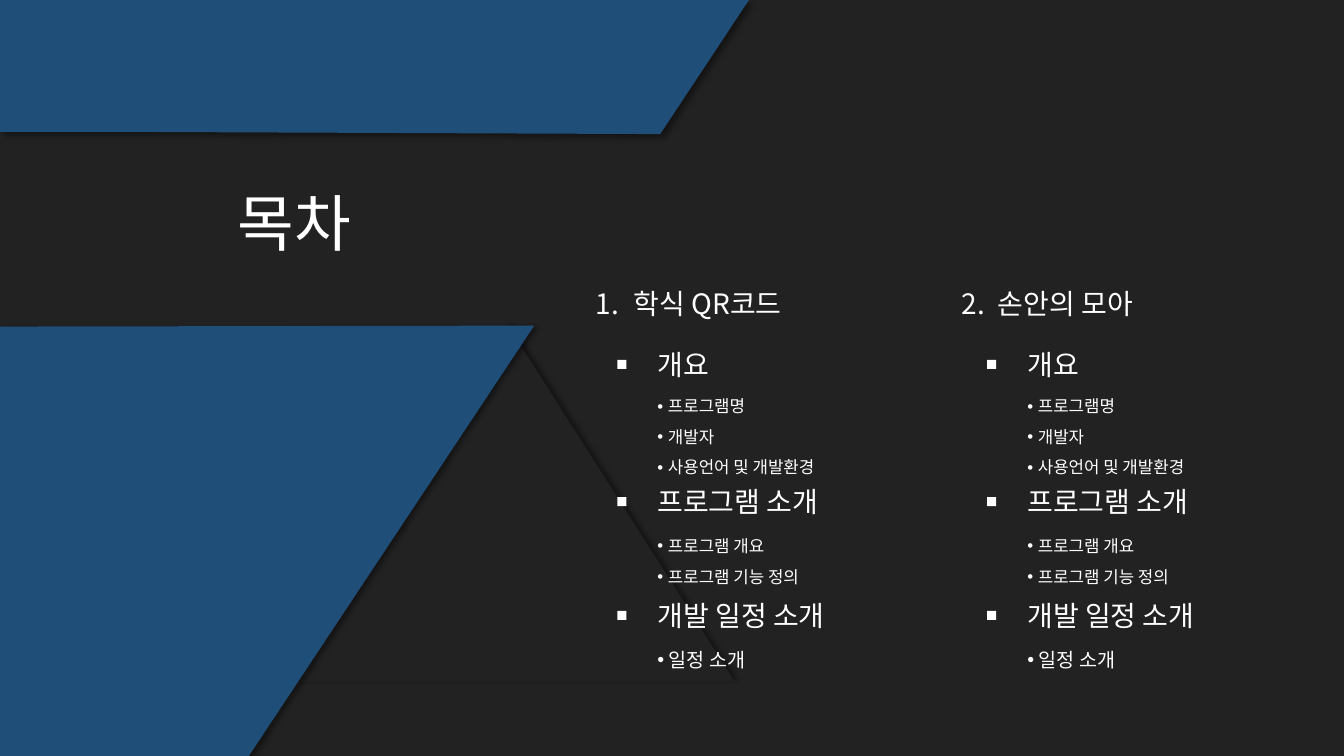
from lxml.etree import SubElement
from pptx import Presentation
from pptx.dml.color import RGBColor
from pptx.enum.shapes import MSO_SHAPE
from pptx.enum.text import MSO_ANCHOR, MSO_AUTO_SIZE, PP_ALIGN
from pptx.oxml.ns import qn
from pptx.util import Pt

FONT = "Noto Sans CJK KR"
DARK, BLUE, WHITE = "222222", "1F4E79", "FFFFFF"

# Topic, space before it, its details, their size, space before the first one
TOPICS = [
    ("개요", 0, ["프로그램명", "개발자", "사용언어 및 개발환경"], 12, 3.5),
    ("프로그램 소개", 5.2, ["프로그램 개요", "프로그램 기능 정의"], 12, 5.2),
    ("개발 일정 소개", 8.5, ["일정 소개"], 14, 6.2),
]
MARKER_TOPS = [257, 355, 436.3]
MARKER_SIZE = 6.5
CHAPTERS = ["학식 QR코드", "손안의 모아"]
HEADING_LEFTS = [425.5, 687]
HEADING_INDENTS = [27, 25.6]
MARKER_LEFT, LIST_LEFT, COLUMN_STEP = 440.9, 469.6, 264.2


def rgb(color):
    return RGBColor.from_string(color)


def fill_flat(shape, color):
    shape.fill.solid()
    shape.fill.fore_color.rgb = rgb(color)
    shape.line.fill.background()
    shape.shadow.inherit = False


def cast_shadow(shape, angle):
    effects = shape._element.spPr.find(qn("a:effectLst"))
    shadow = SubElement(effects, qn("a:outerShdw"), blurRad=str(Pt(4)),
                        dist=str(Pt(3)), dir=str(angle * 60000),
                        rotWithShape="0")
    black = SubElement(shadow, qn("a:srgbClr"), val="000000")
    SubElement(black, qn("a:alpha"), val="40000")


def add_preset(slide, preset, left, top, width, height, color):
    shape = slide.shapes.add_shape(preset, Pt(left), Pt(top), Pt(width),
                                   Pt(height))
    fill_flat(shape, color)
    return shape


def add_band(slide, corners):
    points = [(Pt(x), Pt(y)) for x, y in corners]
    builder = slide.shapes.build_freeform(*points[0])
    builder.add_line_segments(points[1:], close=True)
    band = builder.convert_to_shape()
    fill_flat(band, BLUE)
    cast_shadow(band, 45)


def place(placeholder, left, top, width, height, anchor=MSO_ANCHOR.TOP):
    """Move a placeholder, bring it to the front and return its text frame."""
    placeholder.left, placeholder.top = Pt(left), Pt(top)
    placeholder.width, placeholder.height = Pt(width), Pt(height)
    tree = placeholder._element.getparent()
    tree.append(placeholder._element)
    frame = placeholder.text_frame
    frame.margin_left = frame.margin_right = Pt(0)
    frame.margin_top = frame.margin_bottom = Pt(0)
    frame.vertical_anchor = anchor
    frame.auto_size = MSO_AUTO_SIZE.NONE
    frame.word_wrap = True
    return frame


def add_text(paragraph, text, size):
    run = paragraph.add_run()
    run.text = text
    run.font.size = Pt(size)
    run.font.bold = False
    run.font.name = FONT
    run.font.color.rgb = rgb(WHITE)
    properties = run._r.get_or_add_rPr()
    properties.set("kern", "0")
    SubElement(properties, qn("a:ea"), typeface=FONT)


def add_item(paragraph, text, size, line, before, hanging, tag, **mark):
    """Fill a list paragraph; tag and mark describe its bullet or number."""
    paragraph.line_spacing = Pt(line)
    paragraph.space_before = Pt(before)
    paragraph.space_after = Pt(0)
    properties = paragraph._p.get_or_add_pPr()
    properties.set("marL", str(Pt(hanging)))
    properties.set("indent", str(-Pt(hanging)))
    SubElement(properties, qn(tag), **mark)
    add_text(paragraph, text, size)


def fill_topics(frame):
    for index, (topic, gap, details, size, first_gap) in enumerate(TOPICS):
        paragraph = frame.add_paragraph() if index else frame.paragraphs[0]
        add_item(paragraph, topic, 20, 24, gap, 0, "a:buNone")
        for row, detail in enumerate(details):
            paragraph = frame.add_paragraph()
            paragraph.level = 1
            add_item(paragraph, detail, size, 21.8, 0 if row else first_gap,
                     size / 4 + 4.5, "a:buChar", char="•")


def main():
    deck = Presentation()
    deck.slide_width, deck.slide_height = Pt(960), Pt(540)
    slide = deck.slides.add_slide(deck.slide_layouts.get_by_name("Comparison"))
    slide.background.fill.solid()
    slide.background.fill.fore_color.rgb = rgb(DARK)

    triangle = add_preset(slide, MSO_SHAPE.ISOSCELES_TRIANGLE, 200.9, 232.6,
                          324, 254.2, DARK)
    cast_shadow(triangle, 315)
    add_band(slide, [(0, 0), (535, 0), (471.6, 95.8), (111.6, 94.3), (0, 94.3)])
    add_band(slide, [(0, 233.3), (381.6, 232.6), (177.8, 540), (0, 540)])

    title = place(slide.shapes.title, 59, 128.2, 302.4, 60.5, MSO_ANCHOR.MIDDLE)
    title.paragraphs[0].alignment = PP_ALIGN.CENTER
    add_text(title.paragraphs[0], "목차", 44)

    bodies = {p.placeholder_format.idx: p for p in slide.placeholders}
    for column, chapter in enumerate(CHAPTERS):
        shift = column * COLUMN_STEP
        heading = place(bodies[2 * column + 1], HEADING_LEFTS[column], 204.6,
                        200, 25)
        add_item(heading.paragraphs[0], chapter, 20, 24, 0,
                 HEADING_INDENTS[column], "a:buAutoNum",
                 type="arabicPeriod", startAt=str(column + 1))
        fill_topics(place(bodies[2 * column + 2], LIST_LEFT + shift, 248.1,
                          185, 235))
        for top in MARKER_TOPS:
            add_preset(slide, MSO_SHAPE.RECTANGLE, MARKER_LEFT + shift, top,
                       MARKER_SIZE, MARKER_SIZE, WHITE)

    for placeholder in list(slide.placeholders):
        if not placeholder.text_frame.text:
            placeholder._element.getparent().remove(placeholder._element)
    deck.save("out.pptx")


if __name__ == "__main__":
    main()
